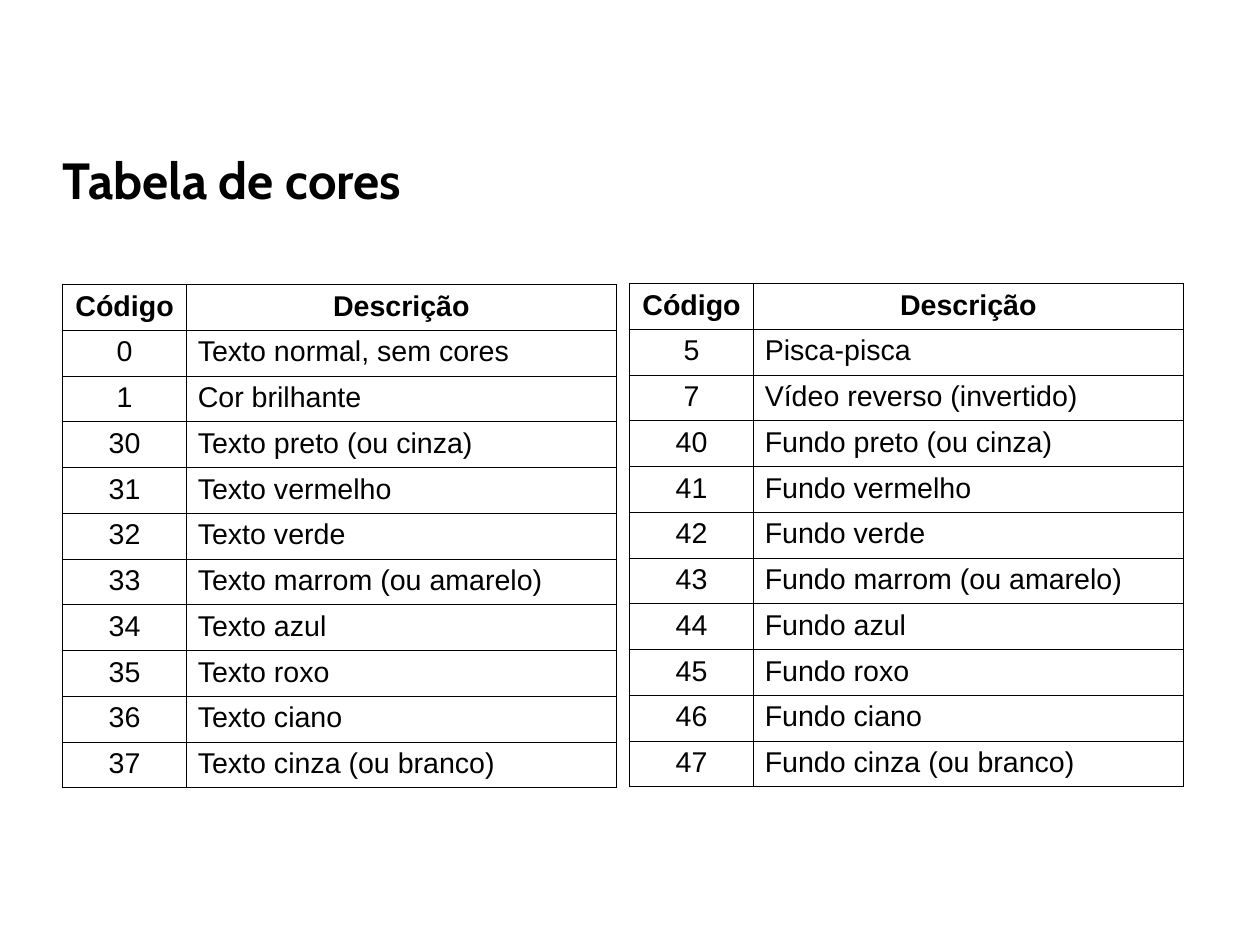
from lxml.etree import SubElement
from pptx import Presentation
from pptx.dml.color import RGBColor
from pptx.enum.text import MSO_ANCHOR, PP_ALIGN
from pptx.oxml.ns import qn
from pptx.util import Pt

BLACK = RGBColor(0, 0, 0)
HEADINGS = ("Código", "Descrição")
TEXT_CODES = [
    ("0", "Texto normal, sem cores"),
    ("1", "Cor brilhante"),
    ("30", "Texto preto (ou cinza)"),
    ("31", "Texto vermelho"),
    ("32", "Texto verde"),
    ("33", "Texto marrom (ou amarelo)"),
    ("34", "Texto azul"),
    ("35", "Texto roxo"),
    ("36", "Texto ciano"),
    ("37", "Texto cinza (ou branco)"),
]
BACKGROUND_CODES = [
    ("5", "Pisca-pisca"),
    ("7", "Vídeo reverso (invertido)"),
    ("40", "Fundo preto (ou cinza)"),
    ("41", "Fundo vermelho"),
    ("42", "Fundo verde"),
    ("43", "Fundo marrom (ou amarelo)"),
    ("44", "Fundo azul"),
    ("45", "Fundo roxo"),
    ("46", "Fundo ciano"),
    ("47", "Fundo cinza (ou branco)"),
]


class ColorCodeSlide:
    """Draws the title and the code tables in one shared style."""

    title_font, table_font = "Cabin", "Arial"
    title_size, table_size = 32, 18
    column_widths = (77.8, 270.8)
    row_height = 28.8
    border_width = 0.57

    def __init__(self, slide):
        self.slide = slide

    def style_text(self, paragraph, text, font_name, size, bold, align):
        paragraph.text = text
        paragraph.alignment = align
        font = paragraph.font
        font.name, font.size, font.bold = font_name, Pt(size), bold
        font.color.rgb = BLACK

    def title(self, text, left, top, width, height):
        heading = self.slide.shapes.add_textbox(Pt(left), Pt(top), Pt(width), Pt(height))
        frame = heading.text_frame
        frame.word_wrap = True
        frame.vertical_anchor = MSO_ANCHOR.MIDDLE
        frame.margin_left = frame.margin_right = frame.margin_top = frame.margin_bottom = 0
        self.style_text(frame.paragraphs[0], text, self.title_font,
                        self.title_size, True, PP_ALIGN.LEFT)

    def borders(self, cell):
        properties = cell._tc.get_or_add_tcPr()
        for side in ("a:lnL", "a:lnR", "a:lnT", "a:lnB"):
            line = SubElement(properties, qn(side), w=str(Pt(self.border_width)))
            fill = SubElement(line, qn("a:solidFill"))
            SubElement(fill, qn("a:srgbClr"), val=str(BLACK))

    def table(self, codes, left, top):
        rows = [HEADINGS, *codes]
        table = self.slide.shapes.add_table(
            len(rows), len(HEADINGS), Pt(left), Pt(top),
            Pt(sum(self.column_widths)), Pt(self.row_height * len(rows)),
        ).table
        table.first_row = table.horz_banding = False
        for column, width in zip(table.columns, self.column_widths):
            column.width = Pt(width)
        for row_index, row in enumerate(rows):
            table.rows[row_index].height = Pt(self.row_height)
            is_heading = row_index == 0
            for column_index, text in enumerate(row):
                cell = table.cell(row_index, column_index)
                centered = is_heading or column_index == 0
                align = PP_ALIGN.CENTER if centered else PP_ALIGN.LEFT
                self.style_text(cell.text_frame.paragraphs[0], text, self.table_font,
                                self.table_size, is_heading, align)
                self.borders(cell)
                cell.fill.background()


def main():
    presentation = Presentation()
    presentation.slide_width, presentation.slide_height = Pt(793.6), Pt(595.4)
    page = ColorCodeSlide(presentation.slides.add_slide(presentation.slide_layouts[6]))
    page.title("Tabela de cores", 39.6, 63.4, 714.2, 99.4)
    page.table(TEXT_CODES, 39.6, 179.2)
    page.table(BACKGROUND_CODES, 396.7, 178.6)
    presentation.save("out.pptx")


if __name__ == "__main__":
    main()
